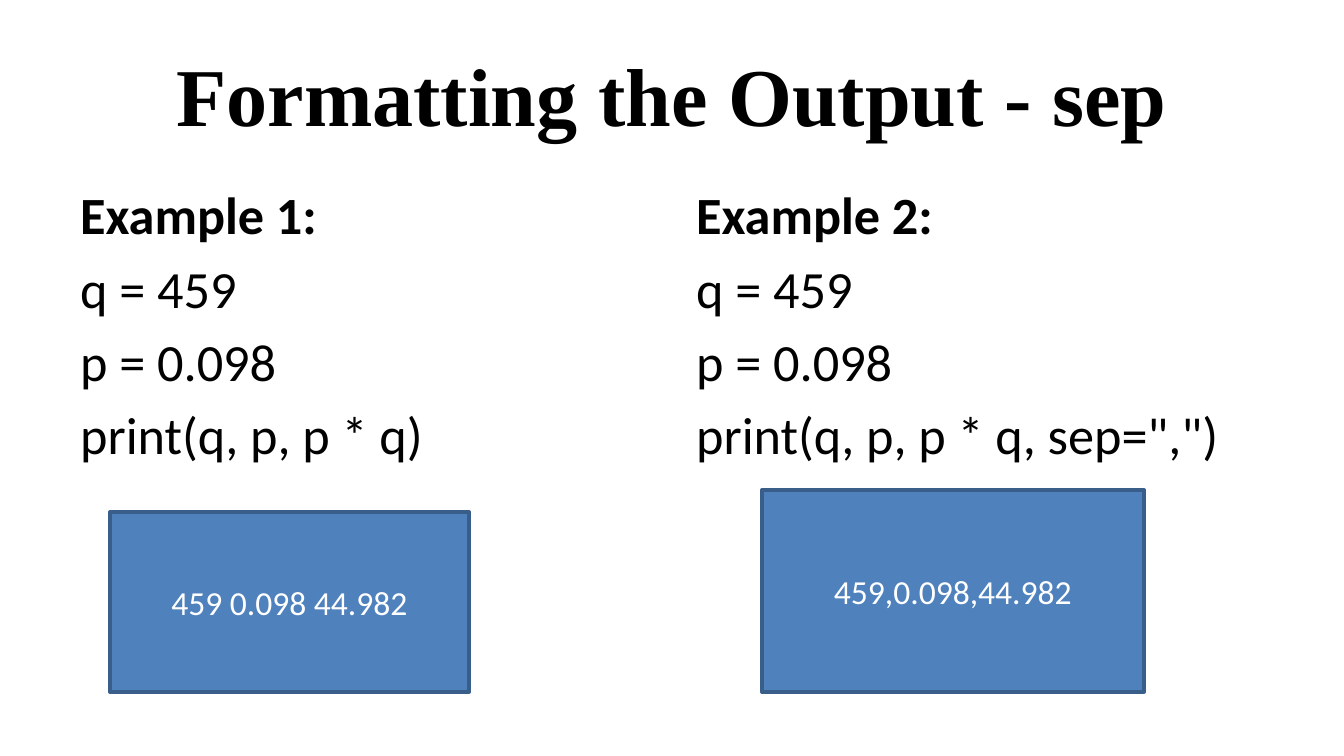
from pptx import Presentation
from pptx.dml.color import RGBColor
from pptx.enum.shapes import MSO_SHAPE
from pptx.enum.text import MSO_ANCHOR, PP_ALIGN
from pptx.util import Pt

RECTANGLE = MSO_SHAPE.RECTANGLE
MIDDLE, TOP = MSO_ANCHOR.MIDDLE, MSO_ANCHOR.TOP
CENTER, LEFT = PP_ALIGN.CENTER, PP_ALIGN.LEFT
TITLE_ONLY = 5
EMU_PER_PX = 914400 / 134.4

# Content; boxes are left, top, width, height in px
SLIDE_SIZE = (1344, 756)
TITLE = "Formatting the Output - sep"
TITLE_BOX = (67, 31, 1210, 126)
CODE_TOP, CODE_WIDTH, CODE_HEIGHT = 176, 594, 499
SIDE_MARGIN = 67
EXAMPLES = [
    {
        "heading": "Example 1:",
        "code": ["q = 459", "p = 0.098", "print(q, p, p * q)"],
        "output": "459 0.098 44.982",
        "output_box": (110, 512, 359, 180),
    },
    {
        "heading": "Example 2:",
        "code": ["q = 459", "p = 0.098", 'print(q, p, p * q, sep=",")'],
        "output": "459,0.098,44.982",
        "output_box": (762, 490, 382, 202),
    },
]


def px(length):
    return round(length * EMU_PER_PX)


def color(hex_string):
    return RGBColor.from_string(hex_string)


def write(shape, lines, size, font, ink, align, anchor, bold_first=False):
    frame = shape.text_frame
    frame.text = "\n".join(lines)
    frame.word_wrap = True
    frame.vertical_anchor = anchor
    for index, paragraph in enumerate(frame.paragraphs):
        paragraph.alignment = align
        paragraph.space_before = Pt(5.6 if index else 0)
        for run in paragraph.runs:
            run.font.size = Pt(size)
            run.font.name = font
            run.font.bold = bold_first and index == 0
            run.font.color.rgb = color(ink)


prs = Presentation()
prs.slide_width, prs.slide_height = map(px, SLIDE_SIZE)
slide = prs.slides.add_slide(prs.slide_layouts[TITLE_ONLY])

# Title
title = slide.shapes.title
title.left, title.top, title.width, title.height = map(px, TITLE_BOX)
write(title, [TITLE], 44, "Times New Roman", "000000", CENTER, MIDDLE, bold_first=True)

# Code columns, flush with the two side margins
column_step = SLIDE_SIZE[0] - 2 * SIDE_MARGIN - CODE_WIDTH
for column, example in enumerate(EXAMPLES):
    code_box = (SIDE_MARGIN + column * column_step, CODE_TOP, CODE_WIDTH, CODE_HEIGHT)
    code = slide.shapes.add_textbox(*map(px, code_box))
    write(code, [example["heading"], *example["code"]], 28, "Calibri", "000000",
          LEFT, TOP, bold_first=True)

# Output panels
for example in EXAMPLES:
    panel = slide.shapes.add_shape(RECTANGLE, *map(px, example["output_box"]))
    panel.shadow.inherit = False
    panel.fill.solid()
    panel.fill.fore_color.rgb = color("4F81BD")
    panel.line.color.rgb = color("395E89")
    panel.line.width = Pt(2)
    write(panel, [example["output"]], 18, "Calibri", "FFFFFF", CENTER, MIDDLE)

prs.save("out.pptx")
